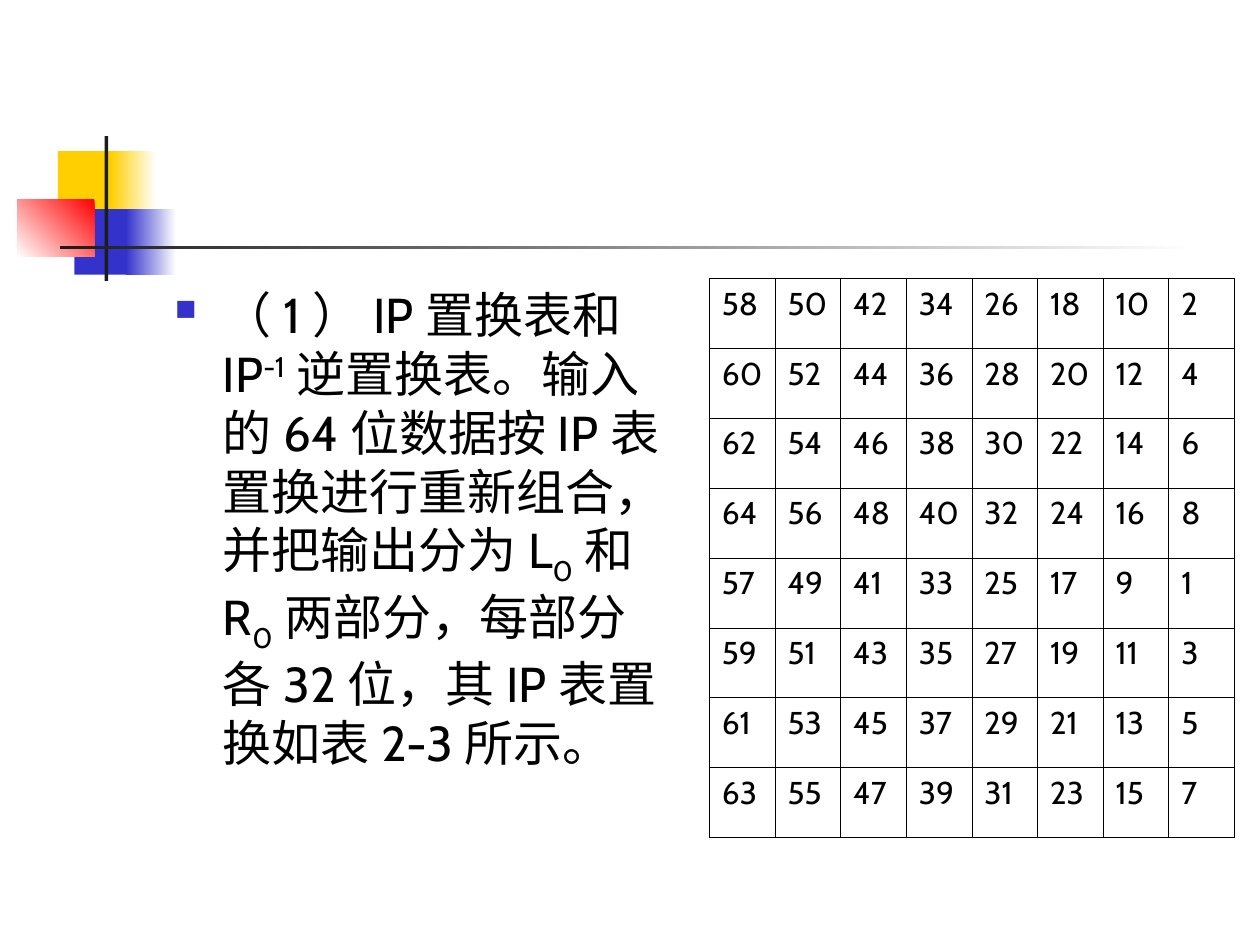
import pptx
import pptx.util
import pptx.dml.color
import pptx.enum.shapes
import pptx.oxml
import pptx.oxml.ns

HUES = {"gold": "FFCF01", "blue": "3333CC", "red": "FF0000",
        "dark": "1C1C1C", "white": "FFFFFF", "black": "000000"}
FONT = "Cabin"
SIDE = 8

deck = pptx.Presentation()
deck.slide_width = pptx.util.Inches(10)
deck.slide_height = pptx.util.Inches(7.5)
slide = deck.slides.add_slide(deck.slide_layouts[6])
unit = deck.slide_width / 100  # the slide is a grid of 100 columns by 75 rows


def place(*cells):
    """Turn grid columns and rows into lengths."""
    return [pptx.util.Emu(round(cell * unit)) for cell in cells]


def write(para, text, size, base=0):
    """Add a run; base raises or lowers it by a percentage."""
    run = para.add_run()
    run.text = text
    run.font.size = pptx.util.Pt(size)
    run.font.name = FONT
    run.font.color.rgb = pptx.dml.color.RGBColor.from_string(HUES["black"])
    if base:
        run._r.get_or_add_rPr().set("baseline", str(base * 1000))


# Corner ornament: left, top, width, height, colours, gradient angle
blocks = [
    (4.6, 12, 4.8, 5.2, ["gold"], 0),
    (8.8, 12, 3.6, 5.2, ["white", "gold"], 180),
    (5.9, 16.6, 4.6, 5.2, ["blue"], 0),
    (10, 16.6, 4, 5.2, ["white", "blue"], 180),
    (1.4, 15.8, 6.1, 4.6, ["red", "white"], 225),
    (8.3, 10.8, 0.3, 11.5, ["dark"], 0),
    (4.8, 19.5, 90, 0.3, ["white", "dark"], 180),
]
for left, top, wide, high, names, angle in blocks:
    block = slide.shapes.add_shape(pptx.enum.shapes.MSO_SHAPE.RECTANGLE,
                                   *place(left, top, wide, high))
    block.shadow.inherit = False
    block.line.fill.background()
    tones = [pptx.dml.color.RGBColor.from_string(HUES[name]) for name in names]
    if len(tones) == 1:
        block.fill.solid()
        block.fill.fore_color.rgb = tones[0]
    else:
        block.fill.gradient()
        block.fill.gradient_angle = angle
        for stop, tone in zip(block.fill.gradient_stops, tones):
            stop.color.rgb = tone

# Bulleted text
body = slide.shapes.add_textbox(*place(12.9, 22.1, 41.7, 45)).text_frame
body.word_wrap = True
para = body.paragraphs[0]
props = para._p.get_or_add_pPr()
indent = place(3.8)[0]
props.set("marL", str(indent))
props.set("indent", str(-indent))
space = pptx.oxml.ns.nsdecls("a")
for mark in (f'<a:buClr {space}><a:srgbClr val="{HUES["blue"]}"/></a:buClr>',
             f'<a:buSzPct {space} val="60000"/>',
             f'<a:buChar {space} char="■"/>'):
    props.append(pptx.oxml.parse_xml(mark))
for text, base in [
    ("（1）IP置换表和IP", 0), ("-1", 30),
    ("逆置换表。输入的64位数据按IP表置换进行重新组合，并把输出分为L", 0),
    ("0", -25), ("和R", 0), ("0", -25),
    ("两部分，每部分各32位，其IP表置换如表2-3所示。", 0),
]:
    write(para, text, 28, base)

# Initial permutation: even bits fill the upper half, odd bits the lower
table = slide.shapes.add_table(SIDE, SIDE, *place(56.3, 22.1, 41.7, 44.4)).table
table.first_row = table.horz_banding = False
for row in range(SIDE):
    for col in range(SIDE):
        cell = table.cell(row, col)
        half, step = divmod(row, SIDE // 2)
        bit = 58 - half + 2 * step - SIDE * col
        write(cell.text_frame.paragraphs[0], str(bit), 18)
        edges = {"L": col == 0, "R": col == SIDE - 1,
                 "T": row == 0, "B": row == SIDE - 1}
        for edge, outer in edges.items():
            width = pptx.util.Pt(1.08 if outer else 0.45)
            cell._tc.get_or_add_tcPr().append(pptx.oxml.parse_xml(
                f'<a:ln{edge} {space} w="{width}"><a:solidFill>'
                f'<a:srgbClr val="{HUES["black"]}"/></a:solidFill></a:ln{edge}>'))
        cell.fill.background()

deck.save("out.pptx")
